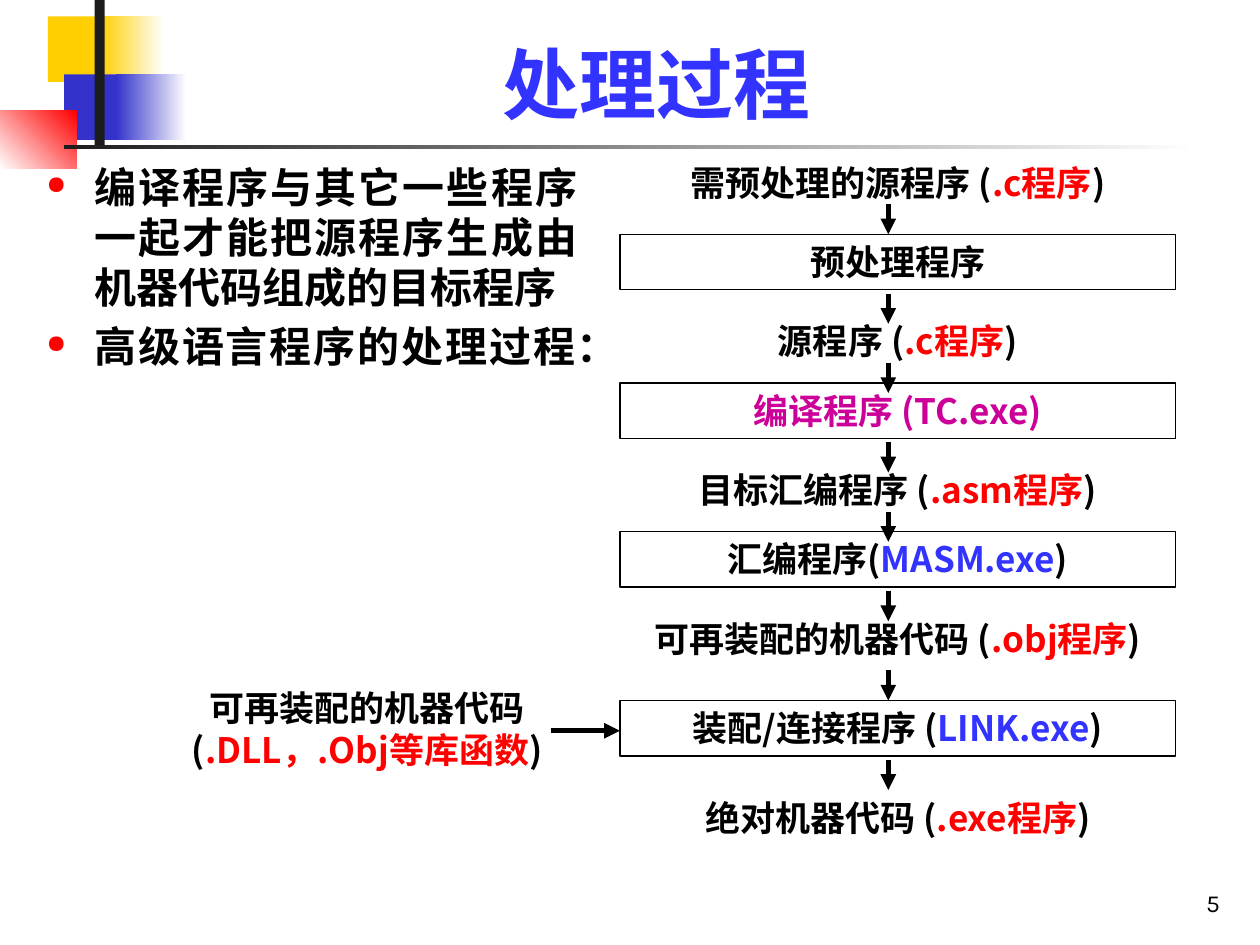
from dataclasses import dataclass

from lxml import etree
from pptx import Presentation
from pptx.dml.color import RGBColor
from pptx.enum.shapes import MSO_CONNECTOR, MSO_SHAPE
from pptx.enum.text import MSO_ANCHOR, PP_ALIGN
from pptx.oxml.ns import qn
from pptx.util import Inches, Pt

RECT = MSO_SHAPE.RECTANGLE
STRAIGHT = MSO_CONNECTOR.STRAIGHT
TOP, BOTTOM = MSO_ANCHOR.TOP, MSO_ANCHOR.BOTTOM
CENTER, RIGHT, JUSTIFY = PP_ALIGN.CENTER, PP_ALIGN.RIGHT, PP_ALIGN.JUSTIFY


@dataclass(frozen=True)
class Theme:
    font: str = "Noto Sans CJK SC"
    number_font: str = "Karla"
    black: str = "000000"
    white: str = "FFFFFF"
    red: str = "FF0000"
    blue: str = "3333FF"
    magenta: str = "CC0099"
    yellow: str = "FFCF01"
    navy: str = "3333CC"
    dark: str = "1C1C1C"
    title: int = 44
    body: int = 24
    label: int = 20
    number: int = 14


T = Theme()
rgb = RGBColor.from_string

prs = Presentation()
prs.slide_width, prs.slide_height = Inches(10), Inches(7.5)
s = prs.slides.add_slide(prs.slide_layouts[6])


def add_text(paragraphs, box, size=T.label, color=T.black, font=T.font, bold=True,
             align=CENTER, anchor=TOP, outlined=False, bullet=False):
    """Each paragraph is a list of (text, color) runs; None takes the default color."""
    x, y, w, h = (Inches(v) for v in box)
    if outlined:
        sp = s.shapes.add_shape(RECT, x, y, w, h)
        sp.shadow.inherit = False
        sp.fill.background()
        sp.line.color.rgb = rgb(T.black)
        sp.line.width = Pt(0.75)
    else:
        sp = s.shapes.add_textbox(x, y, w, h)
    tf = sp.text_frame
    tf.word_wrap = True
    tf.vertical_anchor = anchor
    for i, runs in enumerate(paragraphs):
        p = tf.paragraphs[0] if i == 0 else tf.add_paragraph()
        p.alignment = align
        if bullet:
            pPr = p._p.get_or_add_pPr()
            pPr.set("marL", str(Inches(0.38)))
            pPr.set("indent", str(-Inches(0.38)))
            clr = etree.SubElement(pPr, qn("a:buClr"))
            etree.SubElement(clr, qn("a:srgbClr"), val=T.red)
            etree.SubElement(pPr, qn("a:buSzPct"), val="60000")
            etree.SubElement(pPr, qn("a:buChar"), char="●")
        if i:
            p.space_before = Pt(size * 0.2)
        for text, run_color in runs:
            r = p.add_run()
            r.text = text
            r.font.name = font
            r.font.size = Pt(size)
            r.font.bold = bold
            r.font.color.rgb = rgb(run_color or color)
            etree.SubElement(r._r.get_or_add_rPr(), qn("a:ea"), typeface=font)


def add_arrow(x1, y1, x2, y2):
    c = s.shapes.add_connector(STRAIGHT, Inches(x1), Inches(y1), Inches(x2), Inches(y2))
    c.line.color.rgb = rgb(T.black)
    c.line.width = Pt(3)
    etree.SubElement(c.line._get_or_add_ln(), qn("a:tailEnd"), type="triangle")
    etree.SubElement(c._element.spPr, qn("a:effectLst"))


# Corner decoration: box, start color, end color (None for solid), angle
decoration = [
    ((0.38, 0.13, 0.67, 0.52), T.yellow, None, 0),
    ((0.8, 0.13, 0.5, 0.52), T.yellow, T.white, 0),
    ((0.51, 0.59, 0.64, 0.52), T.navy, None, 0),
    ((0.92, 0.59, 0.56, 0.52), T.navy, T.white, 0),
    ((0, 0.88, 0.61, 0.46), T.white, T.red, 45),
    ((0.75, 0, 0.08, 1.15), T.dark, None, 0),
    ((0.51, 1.15, 9, 0.03), T.dark, T.white, 0),
]
for box, start, end, angle in decoration:
    sp = s.shapes.add_shape(RECT, *(Inches(v) for v in box))
    sp.shadow.inherit = False
    sp.line.fill.background()
    if end:
        sp.fill.gradient()
        sp.fill.gradient_angle = angle
        for stop, color in zip(sp.fill.gradient_stops, (start, end)):
            stop.color.rgb = rgb(color)
    else:
        sp.fill.solid()
        sp.fill.fore_color.rgb = rgb(start)

# Slide number, title and body
add_text([[("5", None)]], (7.7, 6.83, 2.08, 0.5), size=T.number,
         font=T.number_font, bold=False, align=RIGHT, anchor=BOTTOM)
add_text([[("处理过程", None)]], (1.26, 0.23, 7.91, 0.84), size=T.title,
         color=T.blue, anchor=BOTTOM)
add_text([[("编译程序与其它一些程序一起才能把源程序生成由机器代码组成的目标程序", None)],
          [("高级语言程序的处理过程：", None)]],
         (0.27, 1.23, 4.41, 5.59), size=T.body, align=JUSTIFY, bullet=True)

# Processing chain: top, outlined, runs, start of the arrow below
flow_x, flow_w, arrow_x, arrow_len = 4.92, 4.41, 7.05, 0.24
stages = [
    (1.23, False, [("需预处理的源程序 (", None), (".c程序", T.red), (")", None)], 1.62),
    (1.86, True, [("预处理程序", None)], 2.33),
    (2.49, False, [("源程序 (", None), (".c程序", T.red), (")", None)], 2.88),
    (3.04, True, [("编译程序 (TC.exe)", T.magenta)], 3.51),
    (3.67, False, [("目标汇编程序 (", None), (".asm程序", T.red), (")", None)], 4.06),
    (4.22, True, [("汇编程序(", None), ("MASM.exe", T.blue), (")", None)], 4.69),
    (4.85, False, [("可再装配的机器代码 (", None), (".obj程序", T.red), (")", None)], 5.32),
    (5.56, True, [("装配/连接程序 (", None), ("LINK.exe", T.blue), (")", None)], 6.03),
    (6.27, False, [("绝对机器代码 (", None), (".exe程序", T.red), (")", None)], None),
]
for top, outlined, runs, arrow_y in stages:
    add_text([runs], (flow_x, top, flow_w, 0.44 if outlined else 0.43), outlined=outlined)
    if arrow_y:
        add_arrow(arrow_x, arrow_y, arrow_x, arrow_y + arrow_len)

# Library input to the linker
add_arrow(4.37, 5.8, flow_x, 5.8)
add_text([[("可再装配的机器代码(", None), (".DLL，.Obj等库函数", T.red), (")", None)]],
         (1.3, 5.4, 3.23, 0.77))

prs.save("out.pptx")
